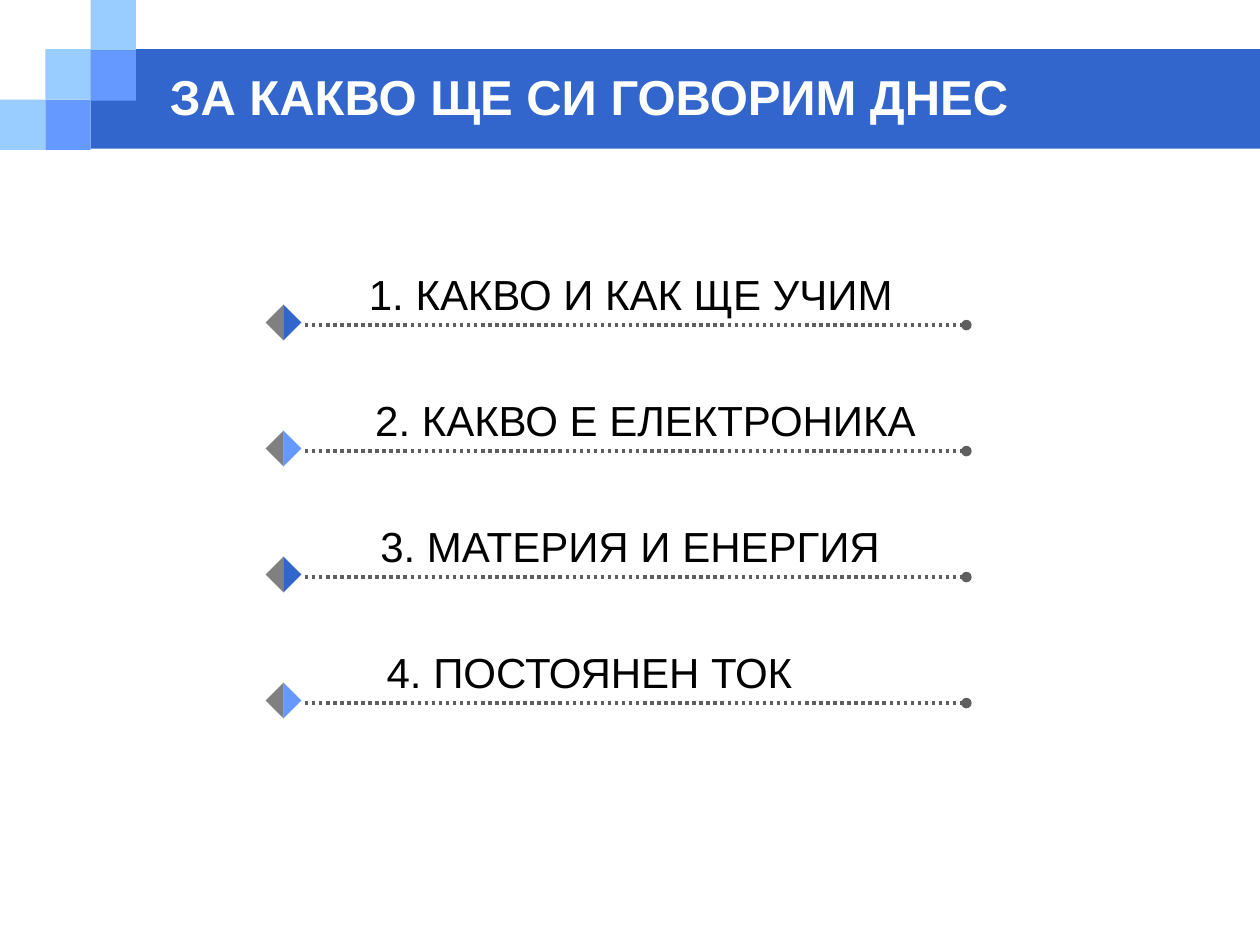
from lxml.etree import SubElement
from pptx import Presentation
from pptx.dml.color import RGBColor
from pptx.enum.dml import MSO_LINE
from pptx.enum.shapes import MSO_CONNECTOR, MSO_SHAPE
from pptx.enum.text import MSO_ANCHOR, MSO_AUTO_SIZE
from pptx.oxml.ns import qn
from pptx.util import Inches, Pt


def add_filled(kind, x, y, w, h, color):
    sp = s.shapes.add_shape(kind, Inches(x), Inches(y), Inches(w), Inches(h))
    sp.shadow.inherit = False
    sp.fill.solid()
    sp.fill.fore_color.rgb = RGBColor.from_string(color)
    sp.line.fill.background()
    return sp


def add_text(text, x, y, w, h, size, color, bold=False):
    tf = s.shapes.add_textbox(Inches(x), Inches(y), Inches(w), Inches(h)).text_frame
    r = tf.paragraphs[0].add_run()
    r.text = text
    r.font.name = "Arial"
    r.font.size = Pt(size)
    r.font.bold = bold
    r.font.color.rgb = RGBColor.from_string(color)
    return tf


prs = Presentation()
prs.slide_width, prs.slide_height = Inches(10), Inches(7.5)
s = prs.slides.add_slide(prs.slide_layouts[6])

# Title band with a staircase of squares
add_filled(MSO_SHAPE.RECTANGLE, 0.72, 0.39, 9.28, 0.79, "3366CC")
for col, y, color in [(0, 0.79, "99CCFF"), (1, 0.39, "99CCFF"), (2, 0, "99CCFF"),
                      (2, 0.4, "6699FF"), (1, 0.79, "6699FF")]:
    add_filled(MSO_SHAPE.RECTANGLE, col * 0.36, y, 0.36, 0.4, color)

tf = add_text("ЗА КАКВО ЩЕ СИ ГОВОРИМ ДНЕС", 1.25, 0.5, 8.08, 0.53, 28, "FFFFFF", True)
tf.word_wrap = True
tf.vertical_anchor = MSO_ANCHOR.MIDDLE

# Agenda rows: dotted line, two-tone diamond, text
items = [
    ("1. КАКВО И КАК ЩЕ УЧИМ", 2.83, 4.4, "3366CC"),
    ("2. КАКВО Е ЕЛЕКТРОНИКА", 2.88, 4.53, "6699FF"),
    ("3. МАТЕРИЯ И ЕНЕРГИЯ", 2.92, 4.21, "3366CC"),
    ("4. ПОСТОЯНЕН ТОК", 2.97, 3.45, "6699FF"),
]
for i, (text, x, w, color) in enumerate(items):
    y = 2.58 + i
    line = s.shapes.add_connector(MSO_CONNECTOR.STRAIGHT, Inches(2.42), Inches(y),
                                  Inches(7.67), Inches(y))
    line.line.color.rgb = RGBColor.from_string("5F5F5F")
    line.line.width = Pt(2)
    line.line.dash_style = MSO_LINE.ROUND_DOT
    SubElement(line.line._get_or_add_ln(), qn("a:tailEnd"), type="oval")
    SubElement(line._element.spPr, qn("a:effectLst"))

    left = add_filled(MSO_SHAPE.RIGHT_TRIANGLE, 2.15, y - 0.12, 0.2, 0.2, "808080")
    left.rotation = 45
    right = add_filled(MSO_SHAPE.RIGHT_TRIANGLE, 2.15, y - 0.12, 0.2, 0.2, color)
    right.rotation = 315
    right._element.spPr.find(qn("a:xfrm")).set("flipH", "1")

    tf = add_text(text, x, y - 0.5, w, 0.51, 24, "000000")
    tf.word_wrap = False
    tf.auto_size = MSO_AUTO_SIZE.SHAPE_TO_FIT_TEXT

prs.save("out.pptx")
